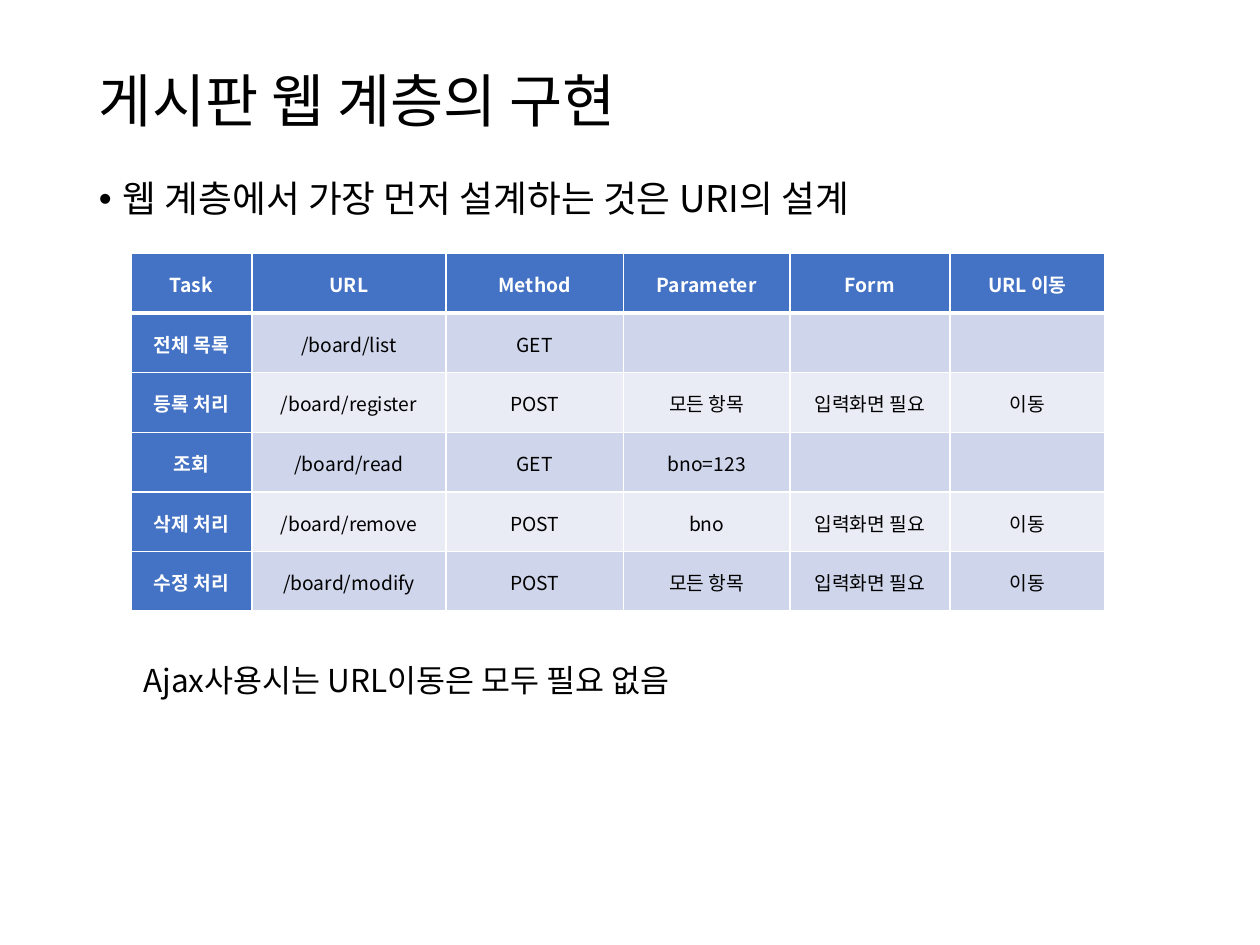
from dataclasses import dataclass

from lxml.etree import SubElement
from pptx import Presentation
from pptx.dml.color import RGBColor
from pptx.enum.text import MSO_ANCHOR as Anchor, MSO_AUTO_SIZE as AutoSize, PP_ALIGN as Align
from pptx.oxml.ns import qn
from pptx.util import Pt


@dataclass(frozen=True)
class Theme:
    font: str = "Noto Sans CJK KR"
    ink: str = "000000"
    light: str = "FFFFFF"
    accent: str = "4472C4"
    bands: tuple = ("CFD5EA", "E9EBF5")
    title: float = 33
    body: float = 21
    note: float = 18
    cell: float = 11
    rule: float = 1
    header_rule: float = 3


@dataclass(frozen=True)
class Box:
    left: float
    top: float
    width: float
    height: float

    def lengths(self) -> tuple:
        return Pt(self.left), Pt(self.top), Pt(self.width), Pt(self.height)


@dataclass(frozen=True)
class Route:
    task: str
    url: str
    method: str
    parameter: str = ""
    form: str = ""
    redirect: str = ""

    def values(self) -> tuple:
        return self.task, self.url, self.method, self.parameter, self.form, self.redirect


THEME = Theme()
HEADER = Route("Task", "URL", "Method", "Parameter", "Form", "URL 이동")
FORM, MOVE = "입력화면 필요", "이동"
ROUTES = (
    Route("전체 목록", "/board/list", "GET"),
    Route("등록 처리", "/board/register", "POST", "모든 항목", FORM, MOVE),
    Route("조회", "/board/read", "GET", "bno=123"),
    Route("삭제 처리", "/board/remove", "POST", "bno", FORM, MOVE),
    Route("수정 처리", "/board/modify", "POST", "모든 항목", FORM, MOVE),
)
COLUMN_WIDTHS = (69, 111, 101.5, 95, 91.5, 88.5)
ROW_HEIGHT = 34.1


def write(frame, text: str, *, size: float, color: str = THEME.ink, bold: bool = False,
          align=Align.LEFT, spacing: float = 1.0, before: float = 0,
          bullet: str = "", indent: float = 0) -> None:
    paragraph = frame.paragraphs[0]
    paragraph.alignment = align
    paragraph.line_spacing = spacing
    paragraph.space_before = Pt(before)
    if bullet:
        properties = paragraph._p.get_or_add_pPr()
        properties.set("marL", str(Pt(indent)))
        properties.set("indent", str(-Pt(indent)))
        SubElement(properties, qn("a:buFont"), typeface="Arial")
        SubElement(properties, qn("a:buChar"), char=bullet)
    run = paragraph.add_run()
    run.text = text
    run.font.size = Pt(size)
    run.font.bold = bold
    run.font.color.rgb = RGBColor.from_string(color)
    run.font.name = THEME.font
    SubElement(run._r.get_or_add_rPr(), qn("a:ea"), typeface=THEME.font)


def add_text(slide, box: Box, text: str, *, anchor=Anchor.TOP, wrap: bool = True,
             **text_format) -> None:
    frame = slide.shapes.add_textbox(*box.lengths()).text_frame
    frame.word_wrap = wrap
    frame.auto_size = AutoSize.NONE if wrap else AutoSize.SHAPE_TO_FIT_TEXT
    frame.vertical_anchor = anchor
    write(frame, text, **text_format)


def draw_borders(cell, top: float, bottom: float) -> None:
    widths = {"L": THEME.rule, "R": THEME.rule, "T": top, "B": bottom}
    for side, width in widths.items():
        line = SubElement(cell._tc.get_or_add_tcPr(), qn(f"a:ln{side}"), w=str(Pt(width)))
        SubElement(SubElement(line, qn("a:solidFill")), qn("a:srgbClr"), val=THEME.light)


def add_route_table(slide, left: float, top: float) -> None:
    rows = (HEADER, *ROUTES)
    box = Box(left, top, sum(COLUMN_WIDTHS), ROW_HEIGHT * len(rows))
    table = slide.shapes.add_table(len(rows), len(COLUMN_WIDTHS), *box.lengths()).table
    for column, width in zip(table.columns, COLUMN_WIDTHS):
        column.width = Pt(width)
    for r, route in enumerate(rows):
        table.rows[r].height = Pt(ROW_HEIGHT)
        for c, value in enumerate(route.values()):
            cell = table.cell(r, c)
            heading = r == 0 or c == 0
            draw_borders(cell,
                         top=THEME.header_rule if r == 1 else THEME.rule,
                         bottom=THEME.header_rule if r == 0 else THEME.rule)
            cell.fill.solid()
            cell.fill.fore_color.rgb = RGBColor.from_string(
                THEME.accent if heading else THEME.bands[(r - 1) % 2])
            cell.margin_left = cell.margin_right = Pt(5)
            cell.margin_top = cell.margin_bottom = Pt(0)
            cell.vertical_anchor = Anchor.MIDDLE
            if value:
                write(cell.text_frame, value, size=THEME.cell, bold=heading,
                      color=THEME.light if heading else THEME.ink,
                      align=Align.CENTER, spacing=1.07)


def main() -> None:
    deck = Presentation()
    deck.slide_width, deck.slide_height = Pt(720), Pt(540)
    slide = deck.slides.add_slide(deck.slide_layouts[6])

    add_text(slide, Box(49.5, 28.8, 621, 61.2), "게시판 웹 계층의 구현",
             anchor=Anchor.MIDDLE, size=THEME.title, spacing=0.9)
    add_text(slide, Box(49.5, 100, 621, 386.6),
             "웹 계층에서 가장 먼저 설계하는 것은 URI의 설계",
             size=THEME.body, spacing=0.9, before=7.5, bullet="•", indent=13.5)
    add_route_table(slide, left=74.9, top=144.8)
    add_text(slide, Box(74.9, 374.4, 343.4, 29), "Ajax사용시는 URL이동은 모두 필요 없음",
             wrap=False, size=THEME.note)

    deck.save("out.pptx")


if __name__ == "__main__":
    main()
